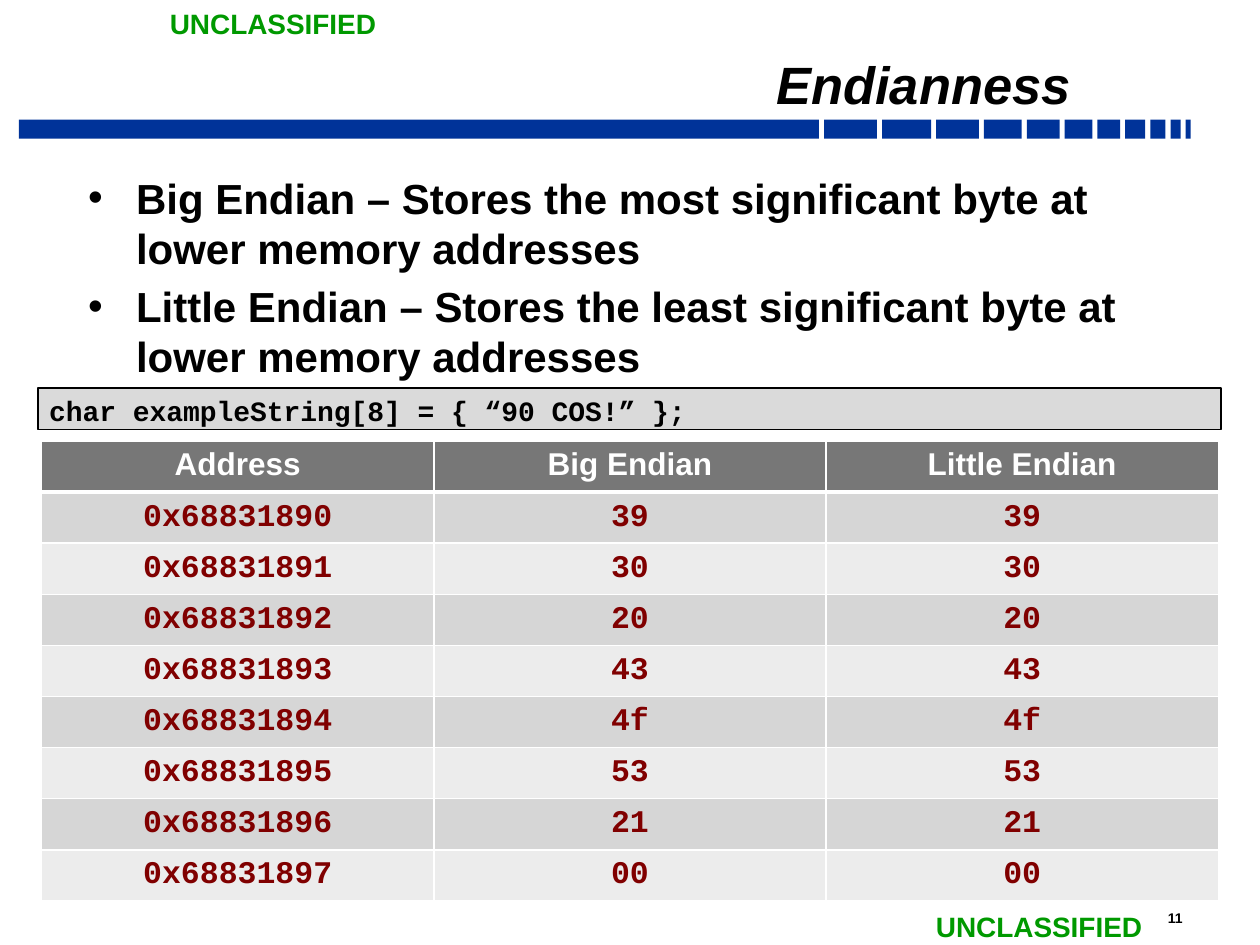
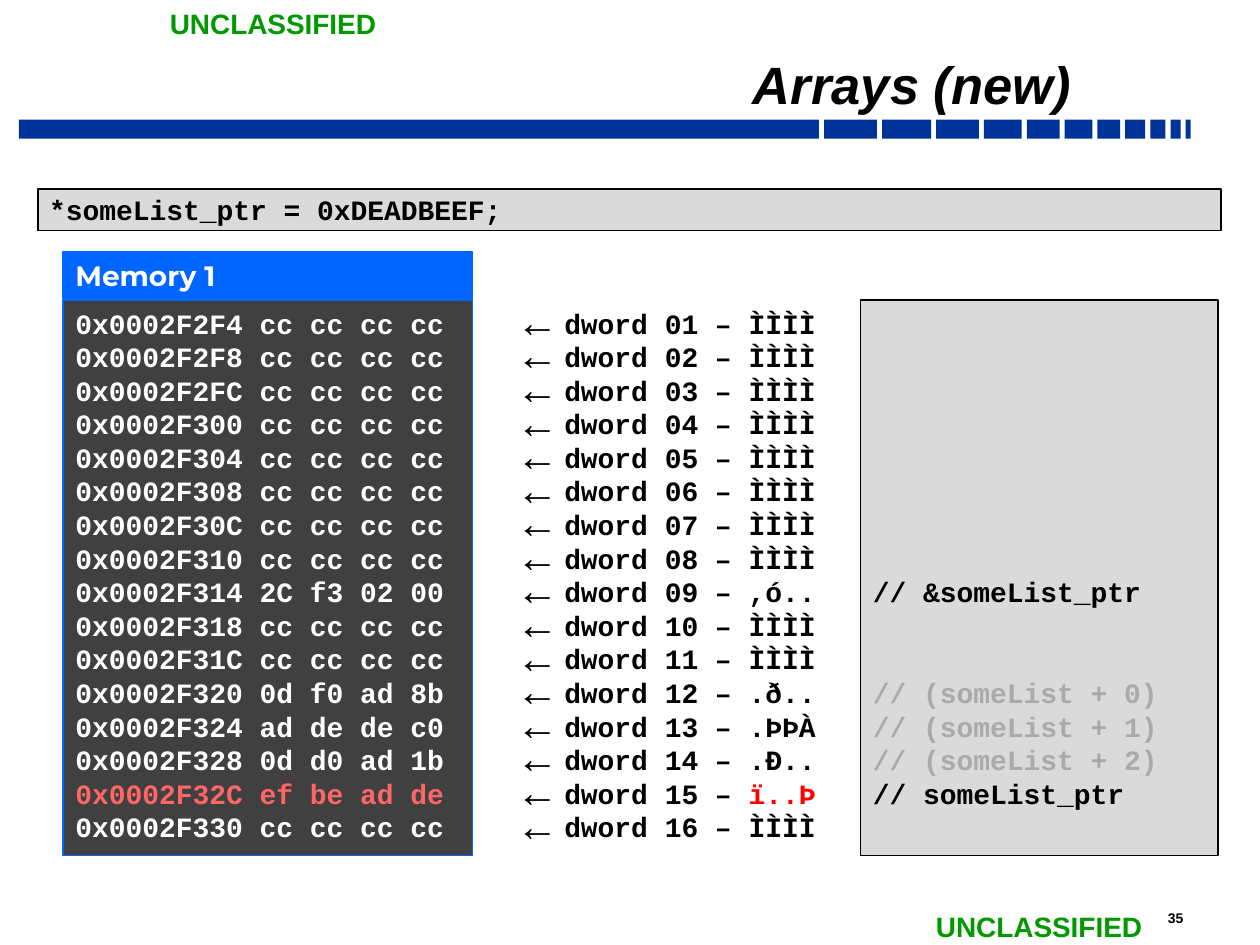
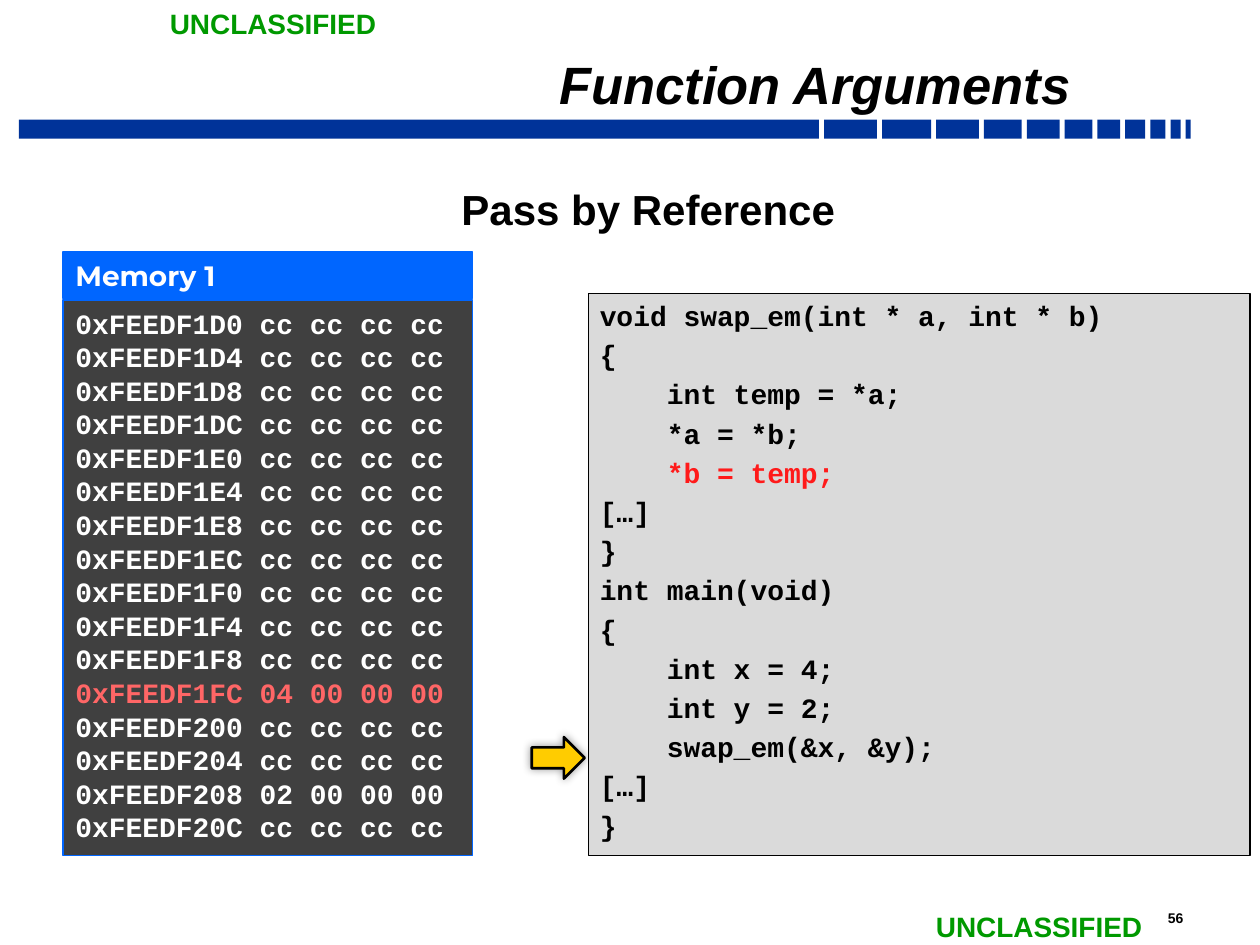
from dataclasses import dataclass

from lxml import etree
from pptx import Presentation
from pptx.dml.color import RGBColor
from pptx.enum.shapes import MSO_SHAPE
from pptx.enum.text import MSO_ANCHOR, MSO_AUTO_SIZE, PP_ALIGN
from pptx.oxml import parse_xml
from pptx.oxml.ns import nsdecls, qn
from pptx.util import Inches, Pt

RECT, ARROW = MSO_SHAPE.RECTANGLE, MSO_SHAPE.RIGHT_ARROW
TOP, MIDDLE, BOTTOM = MSO_ANCHOR.TOP, MSO_ANCHOR.MIDDLE, MSO_ANCHOR.BOTTOM
LEFT, CENTER, RIGHT = PP_ALIGN.LEFT, PP_ALIGN.CENTER, PP_ALIGN.RIGHT
NO_FIT = MSO_AUTO_SIZE.NONE


@dataclass(frozen=True)
class Theme:
    black: str = "000000"
    white: str = "FFFFFF"
    band: str = "003399"
    marking: str = "009900"
    blue: str = "0066FF"
    dark: str = "404040"
    code_fill: str = "DADADA"
    header_fill: str = "777777"
    row_fills: tuple = ("D6D6D6", "ECECEC")
    maroon: str = "800000"
    faded: str = "AAAAAA"
    light_red: str = "FF6666"
    red: str = "FF0000"
    code_red: str = "FF1A1A"
    arrow: str = "FFCC00"
    sans: str = "Arial"
    mono: str = "Courier New"
    heading: str = "Montserrat"
    title_size: int = 30
    body_size: int = 24
    table_size: int = 18
    code_size: int = 16
    number_size: int = 8
    code_pitch: float = 19.2
    body_pitch: float = 28.6


theme = Theme()
CODE = dict(font=theme.mono, size=theme.code_size, pitch=theme.code_pitch)
BODY = dict(font=theme.sans, size=theme.body_size, pitch=theme.body_pitch)
TITLE = dict(font=theme.sans, size=theme.title_size, italic=True,
             align=RIGHT, pitch=0.7)
MARKING = dict(font=theme.sans, size=theme.code_size, color=theme.marking)
TIGHT = (0.09, 0.04)
ROOMY = (0.1, 0.05)

# Shared grid, in inches
WIDTH, HEIGHT = 10, 7.5
PANEL_TOP, PANEL_HEIGHT = 2.38, 4.41
MEMORY_LEFT, MEMORY_WIDTH = 0.5, 3.25
STRIP_LEFT, STRIP_WIDTH, STRIP_HEIGHT = 0.3, 9.39, 0.33
BODY_LEFT, BODY_WIDTH, BODY_HEIGHT = 0.61, 9.07, 5.17
BAND_TOP, BAND_HEIGHT, BAND_GAP = 0.95, 0.15, 0.04
BAND_EDGES = [0.15, 6.54, 7, 7.43, 7.81, 8.15, 8.45, 8.71, 8.93, 9.13,
              9.29, 9.41, 9.49]
HANG = 0.38


def add_box(page, area, fill, line=None, weight=1, kind=RECT):
    box = page.shapes.add_shape(kind, *map(Inches, area))
    box.shadow.inherit = False
    box.fill.solid()
    box.fill.fore_color.rgb = RGBColor.from_string(fill)
    if line:
        box.line.color.rgb = RGBColor.from_string(line)
        box.line.width = Pt(weight)
    else:
        box.line.fill.background()
    return box


def write(frame, lines, font, size, color=theme.black, italic=False, align=LEFT,
          pitch=None, gap=0, anchor=TOP, inset=ROOMY, wrap=True, bullet=None,
          bullet_scale=100):
    """Fill a frame; each line is a string or a list of (text, color) spans."""
    side, edge = map(Inches, inset)
    settings = dict(margin_left=side, margin_right=side, margin_top=edge,
                    margin_bottom=edge, vertical_anchor=anchor, word_wrap=wrap,
                    auto_size=NO_FIT)
    for name, value in settings.items():
        setattr(frame, name, value)
    for index, line in enumerate(lines):
        para = frame.add_paragraph() if index else frame.paragraphs[0]
        para.alignment = align
        para.space_before = Pt(gap if index else 0)
        if pitch:
            para.line_spacing = pitch if pitch < 2 else Pt(pitch)
        props = para._p.get_or_add_pPr()
        hang = Inches(HANG) if bullet else 0
        props.set("marL", str(hang))
        props.set("indent", str(-hang))
        if bullet:
            tint = etree.SubElement(props, qn("a:buClr"))
            etree.SubElement(tint, qn("a:srgbClr"), val=theme.black)
            etree.SubElement(props, qn("a:buSzPct"), val=str(bullet_scale * 1000))
            etree.SubElement(props, qn("a:buFont"), typeface=theme.sans)
            etree.SubElement(props, qn("a:buChar"), char=bullet)
        else:
            etree.SubElement(props, qn("a:buNone"))
        for text, tone in [(line, color)] if isinstance(line, str) else line:
            span = para.add_run()
            span.text = text
            look = dict(name=font, size=Pt(size), bold=True, italic=italic)
            for name, value in look.items():
                setattr(span.font, name, value)
            span.font.color.rgb = RGBColor.from_string(tone)


deck = Presentation()
deck.slide_width, deck.slide_height = Inches(WIDTH), Inches(HEIGHT)
BODY_LAYOUT, TITLE_LAYOUT = deck.slide_layouts[1], deck.slide_layouts[5]

# Band, markings, number and title on every slide
pages = []
for title, number, layout in [("Endianness", "11", BODY_LAYOUT),
                              ("Arrays (new)", "35", TITLE_LAYOUT),
                              ("Function Arguments", "56", BODY_LAYOUT)]:
    page = deck.slides.add_slide(layout)
    pages.append(page)
    for start, following in zip(BAND_EDGES, BAND_EDGES[1:]):
        add_box(page, (start, BAND_TOP, following - start - BAND_GAP, BAND_HEIGHT),
                theme.band)
    for left, top in [(1.25, 0), (7.33, 7.17)]:
        box = page.shapes.add_textbox(*map(Inches, (left, top, 1.86, 0.37)))
        write(box.text_frame, ["UNCLASSIFIED"], wrap=False, **MARKING)
    box = page.shapes.add_textbox(*map(Inches, (9.17, 7.17, 0.54, 0.23)))
    write(box.text_frame, [number], theme.sans, theme.number_size)
    box = page.shapes.title
    box.left, box.top, box.width, box.height = map(Inches, (1.67, 0.35, 6.92, 0.59))
    write(box.text_frame, [title], anchor=BOTTOM, inset=TIGHT, **TITLE)
endian_page, array_page, argument_page = pages

# Body text
endian_lines = [
    "Big Endian – Stores the most significant byte at lower memory addresses",
    "Little Endian – Stores the least significant byte at lower memory addresses",
]
for page, top, lines, look in [
        (endian_page, 1.33, endian_lines, dict(bullet="•")),
        (argument_page, 1.42, ["Pass by Reference"], dict(align=CENTER))]:
    box = page.placeholders[1]
    area = (BODY_LEFT, top, BODY_WIDTH, BODY_HEIGHT)
    box.left, box.top, box.width, box.height = map(Inches, area)
    write(box.text_frame, lines, gap=4.8, inset=TIGHT, **look, **BODY)

# One-line code strips
for page, top, code, anchor in [
        (endian_page, 3.08, "char exampleString[8] = { “90 COS!” };", TOP),
        (array_page, 1.5, "*someList_ptr = 0xDEADBEEF;", MIDDLE)]:
    box = add_box(page, (STRIP_LEFT, top, STRIP_WIDTH, STRIP_HEIGHT),
                  theme.code_fill, theme.black)
    write(box.text_frame, [code], anchor=anchor, inset=TIGHT, **CODE)

# Byte order table
rows = [("Address", "Big Endian", "Little Endian")]
for offset, byte in enumerate("39 30 20 43 4f 53 21 00".split()):
    rows.append((f"0x{0x68831890 + offset:08x}", byte, byte))
area = map(Inches, (0.33, 3.5, 9.34, 3.65))
table = endian_page.shapes.add_table(len(rows), 3, *area).table
for row_index, values in enumerate(rows):
    header = row_index == 0
    fill = theme.header_fill if header else theme.row_fills[(row_index - 1) % 2]
    for column_index, value in enumerate(values):
        cell = table.cell(row_index, column_index)
        props = cell._tc.get_or_add_tcPr()
        for side in "LRTB":
            thick = (header and side == "B") or (row_index == 1 and side == "T")
            props.append(parse_xml(
                f'<a:ln{side} {nsdecls("a")} w="{Pt(3 if thick else 1)}">'
                f'<a:solidFill><a:srgbClr val="{theme.white}"/></a:solidFill>'
                f'</a:ln{side}>'))
        cell.fill.solid()
        cell.fill.fore_color.rgb = RGBColor.from_string(fill)
        write(cell.text_frame, [value], theme.sans if header else theme.mono,
              theme.table_size, theme.white if header else theme.maroon, align=CENTER)
        cell.vertical_anchor = TOP if header else MIDDLE

# Memory dumps: first address, changed words, highlighted row
for page, first, words, marked in [
        (array_page, 0x0002F2F4,
         {8: "2C f3 02 00", 11: "0d f0 ad 8b", 12: "ad de de c0",
          13: "0d d0 ad 1b", 14: "ef be ad de"}, 14),
        (argument_page, 0xFEEDF1D0, {11: "04 00 00 00", 14: "02 00 00 00"}, 11)]:
    box = add_box(page, (MEMORY_LEFT, 2, MEMORY_WIDTH, 0.37),
                  theme.blue, theme.blue, 0.75)
    write(box.text_frame, ["Memory 1"], theme.heading, theme.code_size,
          theme.white, anchor=MIDDLE)
    box = add_box(page, (MEMORY_LEFT, PANEL_TOP, MEMORY_WIDTH, PANEL_HEIGHT),
                  theme.dark, theme.blue, 0.75)
    dump = [[(f"0x{first + 4 * row:08X} {words.get(row, 'cc cc cc cc')}",
              theme.light_red if row == marked else theme.white)]
            for row in range(16)]
    write(box.text_frame, dump, **CODE)

# Word labels beside the array memory
glyphs = {9: ",ó..", 12: ".ð..", 13: ".ÞÞÀ", 14: ".Ð..", 15: "ï..Þ"}
labels = [[(f"dword {word:02d} – ", theme.black),
           (glyphs.get(word, "ÌÌÌÌ"), theme.red if word == 15 else theme.black)]
          for word in range(1, 17)]
box = array_page.shapes.add_textbox(*map(Inches, (4, PANEL_TOP, 5.68, PANEL_HEIGHT)))
write(box.text_frame, labels, bullet="←", bullet_scale=150, **CODE)

# Variable notes, lined up with memory rows 9 and 12 to 15
box = add_box(array_page, (6.83, PANEL_TOP, 2.84, PANEL_HEIGHT),
              theme.code_fill, theme.black)
notes = ["// &someList_ptr"]
notes += [[(f"// (someList + {item})", theme.faded)] for item in range(3)]
notes.append("// someList_ptr")
write(box.text_frame, notes, **CODE)
box.text_frame.margin_top = Inches(ROOMY[1]) + Pt(8 * theme.code_pitch)
box.text_frame.paragraphs[1].space_before = Pt(2 * theme.code_pitch)

# Current-line arrow with a soft shadow
arrow = add_box(argument_page, (4.22, 5.85, 0.42, 0.33), theme.arrow, theme.black,
                1.5, ARROW)
effects = arrow._element.spPr.find(qn("a:effectLst"))
shadow = etree.SubElement(effects, qn("a:outerShdw"), blurRad=str(Pt(5)),
                          dist="0", dir="0")
tint = etree.SubElement(shadow, qn("a:srgbClr"), val=theme.black)
etree.SubElement(tint, qn("a:alpha"), val="40000")

# Swap program
program = [
    "void swap_em(int * a, int * b)",
    "{",
    "    int temp = *a;",
    "    *a = *b;",
    [("    *b = temp;", theme.code_red)],
    "[…]",
    "}",
    "int main(void)",
    "{",
    "    int x = 4;",
    "    int y = 2;",
    "    swap_em(&x, &y);",
    "[…]",
    "}",
]
box = add_box(argument_page, (4.67, 2.33, 5.25, 4.46), theme.code_fill, theme.black)
write(box.text_frame, program, gap=3.2, inset=TIGHT, **CODE)

deck.save("out.pptx")
